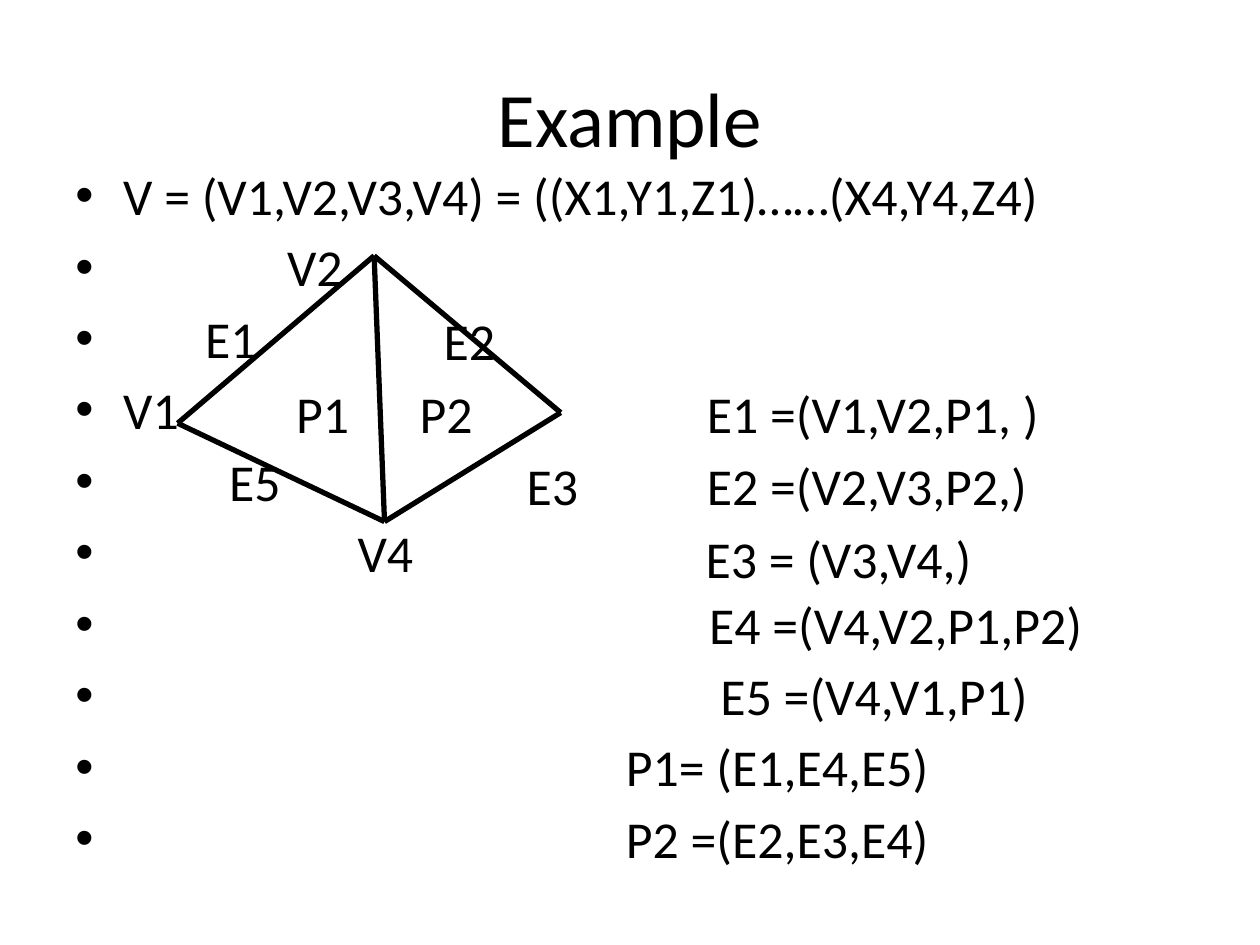
from lxml import etree
from pptx import Presentation
from pptx.dml.color import RGBColor
from pptx.enum.shapes import MSO_CONNECTOR
from pptx.enum.text import MSO_ANCHOR, PP_ALIGN
from pptx.oxml.ns import qn
from pptx.util import Inches, Pt

STRAIGHT = MSO_CONNECTOR.STRAIGHT
TOP, MIDDLE = MSO_ANCHOR.TOP, MSO_ANCHOR.MIDDLE
LEFT, CENTER = PP_ALIGN.LEFT, PP_ALIGN.CENTER
BLACK = RGBColor(0x00, 0x00, 0x00)
BLUE = RGBColor(0x4B, 0x7E, 0xBC)
FONT = "Calibri"
BODY_SIZE = 29.6
ROW_GAP = 5.3
ROW_PITCH = 0.576
INSET_X, INSET_Y = 0.1, 0.05

TITLE_BOX = (0.5, 0.3, 9, 1.25)
BODY_BOX = (0.5, 1.25, 9, 5.86)
FIGURE_BOX = (1.41, 2.03, 3.04, 2.11)

ROWS = [
    [(0.98, "V = (V1,V2,V3,V4) = ((X1,Y1,Z1)……(X4,Y4,Z4)")],
    [(2.28, "V2")],
    [(1.63, "E1"), (3.52, "E2")],
    [(0.98, "V1"), (2.35, "P1"), (3.33, "P2"), (5.61, "E1 =(V1,V2,P1, )")],
    [(1.82, "E5"), (4.18, "E3"), (5.61, "E2 =(V2,V3,P2,)")],
    [(2.84, "V4"), (5.6, "E3 = (V3,V4,)")],
    [(5.63, "E4 =(V4,V2,P1,P2)")],
    [(5.72, "E5 =(V4,V1,P1)")],
    [(4.97, "P1= (E1,E4,E5)")],
    [(4.97, "P2 =(E2,E3,E4)")],
]
VERTICES = {"V1": (0, 0.63), "V2": (0.513, 0), "V3": (1, 0.59),
            "V4": (0.54, 1), "stub": (0.513, 0.04)}
EDGES = [("V1", "V2", BLACK, 3), ("V2", "V3", BLACK, 3),
         ("V2", "stub", BLUE, 0.75), ("V1", "V4", BLACK, 3),
         ("V2", "V4", BLACK, 3), ("V4", "V3", BLACK, 3)]


def write(paragraph, text, size=BODY_SIZE, color=BLACK, align=LEFT, before=0):
    """Put formatted text into a paragraph."""
    paragraph.alignment = align
    paragraph.space_before = Pt(before)
    run = paragraph.add_run()
    run.text = text
    run.font.name = FONT
    run.font.size = Pt(size)
    run.font.color.rgb = color


def hang_bullet(paragraph, indent):
    """Set a bullet at the left edge with its text at the indent."""
    properties = paragraph._p.get_or_add_pPr()
    properties.set("marL", str(Inches(indent)))
    properties.set("indent", str(-Inches(indent)))
    etree.SubElement(properties, qn("a:buFont")).set("typeface", "Arial")
    etree.SubElement(properties, qn("a:buChar")).set("char", "•")


def add_text_frame(slide, box, inset_x=0, inset_y=0):
    """Add a wrapping text box and return its frame."""
    frame = slide.shapes.add_textbox(*map(Inches, box)).text_frame
    frame.word_wrap = True
    frame.vertical_anchor = TOP
    frame.margin_left = frame.margin_right = Inches(inset_x)
    frame.margin_top = frame.margin_bottom = Inches(inset_y)
    return frame


def place_title(slide, box):
    """Move and fill the title placeholder."""
    title = slide.shapes.title
    title.left, title.top, title.width, title.height = map(Inches, box)
    title.text_frame.vertical_anchor = MIDDLE
    write(title.text_frame.paragraphs[0], "Example", size=44, align=CENTER)


def place_rows(slide, box):
    """Write the bulleted rows and the further labels on each row."""
    left, top, width, _ = box
    frame = add_text_frame(slide, box, INSET_X, INSET_Y)
    for index, (lead, *labels) in enumerate(ROWS):
        paragraph = frame.add_paragraph() if index else frame.paragraphs[0]
        start, text = lead
        write(paragraph, text, before=ROW_GAP if index else 0)
        hang_bullet(paragraph, start - left - INSET_X)
        row_top = top + INSET_Y + index * ROW_PITCH
        ends = [x for x, _ in labels[1:]] + [left + width]
        for (x, label), end in zip(labels, ends):
            label_frame = add_text_frame(slide, (x, row_top, end - x, ROW_PITCH))
            write(label_frame.paragraphs[0], label)


def place_figure(slide, box):
    """Draw the polygon edges between vertices given as shares of the box."""
    left, top, width, height = box
    points = {name: (Inches(left + x * width), Inches(top + y * height))
              for name, (x, y) in VERTICES.items()}
    for start, end, color, weight in EDGES:
        edge = slide.shapes.add_connector(STRAIGHT, *points[start], *points[end])
        edge.line.color.rgb = color
        edge.line.width = Pt(weight)
        etree.SubElement(edge._element.spPr, qn("a:effectLst"))


def main():
    """Build and save the slide."""
    deck = Presentation()
    deck.slide_width, deck.slide_height = Inches(10), Inches(7.5)
    slide = deck.slides.add_slide(deck.slide_layouts[5])
    place_title(slide, TITLE_BOX)
    place_rows(slide, BODY_BOX)
    place_figure(slide, FIGURE_BOX)
    deck.save("out.pptx")


if __name__ == "__main__":
    main()
